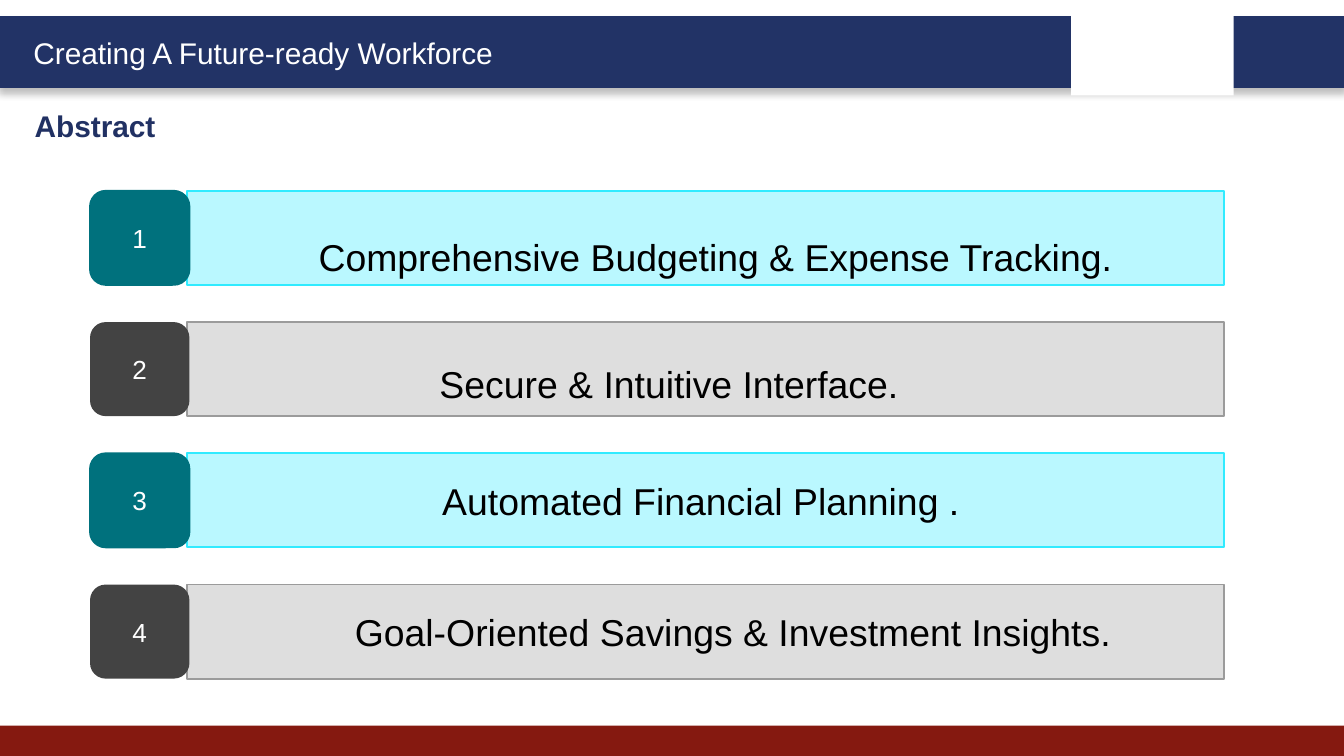
from dataclasses import dataclass
from typing import Optional

from lxml import etree
from pptx import Presentation
from pptx.dml.color import RGBColor
from pptx.enum.shapes import MSO_SHAPE
from pptx.enum.text import MSO_ANCHOR, PP_ALIGN
from pptx.oxml.ns import qn
from pptx.util import Inches, Pt

RECTANGLE = MSO_SHAPE.RECTANGLE
ROUNDED = MSO_SHAPE.ROUNDED_RECTANGLE
TOP, MIDDLE = MSO_ANCHOR.TOP, MSO_ANCHOR.MIDDLE
LEFT, CENTER = PP_ALIGN.LEFT, PP_ALIGN.CENTER

SLIDE_WIDTH = 10
SLIDE_HEIGHT = SLIDE_WIDTH * 9 / 16


@dataclass(frozen=True)
class Theme:
    font: str = "Arial"
    heading_size: int = 16
    item_size: int = 20
    number_size: int = 14
    navy: str = "223366"
    heading: str = "213163"
    red: str = "851910"
    white: str = "FFFFFF"
    black: str = "000000"


@dataclass(frozen=True)
class Box:
    left: float
    top: float
    width: float
    height: float

    def lengths(self) -> list:
        return [Inches(v) for v in (self.left, self.top, self.width, self.height)]


@dataclass(frozen=True)
class Palette:
    badge: str
    bar: str
    edge: str
    badge_edge: Optional[str] = None


@dataclass(frozen=True)
class Item:
    text: str
    indent: float
    label: Optional[Box] = None  # separate text box lying over the bar


THEME = Theme()
PALETTES = (
    Palette("00717D", "BAF8FF", "31EBFF", "00717D"),
    Palette("434343", "DEDEDE", "9B9B9B"),
)

# Grid of the list: a badge column, a bar column and equal rows
BADGE_LEFT, BADGE_WIDTH = 0.67, 0.74
BAR_LEFT, BAR_WIDTH = 1.39, 7.72
FIRST_ROW, LAST_ROW, ROW_HEIGHT = 1.42, 4.35, 0.7

ITEMS = (
    Item("Comprehensive Budgeting & Expense Tracking.", 0.43, Box(1.94, 1.69, 6.92, 0.44)),
    Item("Secure & Intuitive Interface.", 0.87, Box(2.4, 2.64, 5.7, 0.44)),
    Item("Automated Financial Planning .", 1.9),
    Item("Goal-Oriented Savings & Investment Insights.", 1.25),
)
ROW_PITCH = (LAST_ROW - FIRST_ROW) / (len(ITEMS) - 1)


def write(shape, text: str, size: int, color: str, bold: bool = False,
          align=LEFT, anchor=TOP, indent: float = 0.1) -> None:
    frame = shape.text_frame
    frame.word_wrap = True
    frame.vertical_anchor = anchor
    frame.margin_left = Inches(indent)
    paragraph = frame.paragraphs[0]
    paragraph.alignment = align
    run = paragraph.add_run()
    run.text = text
    run.font.name = THEME.font
    run.font.size = Pt(size)
    run.font.bold = bold
    run.font.color.rgb = RGBColor.from_string(color)


def add_block(slide, kind, box: Box, fill: str, edge: Optional[str] = None,
              edge_width: float = 1):
    shape = slide.shapes.add_shape(kind, *box.lengths())
    shape.shadow.inherit = False
    shape.fill.solid()
    shape.fill.fore_color.rgb = RGBColor.from_string(fill)
    if edge:
        shape.line.color.rgb = RGBColor.from_string(edge)
        shape.line.width = Pt(edge_width)
    else:
        shape.line.fill.background()
    return shape


def add_label(slide, box: Box, text: str, size: int, color: str,
              bold: bool = False, indent: float = 0.1) -> None:
    label = slide.shapes.add_textbox(*box.lengths())
    write(label, text, size, color, bold, indent=indent)


def add_drop_shadow(shape) -> None:
    effects = shape._element.spPr.find(qn("a:effectLst"))
    shadow = etree.SubElement(effects, qn("a:outerShdw"), blurRad=str(Pt(4)),
                              dist=str(Pt(3)), dir="5400000", rotWithShape="0")
    color = etree.SubElement(shadow, qn("a:srgbClr"), val=THEME.black)
    etree.SubElement(color, qn("a:alpha"), val="25000")


def add_item(slide, index: int, item: Item) -> None:
    palette = PALETTES[index % len(PALETTES)]
    top = FIRST_ROW + index * ROW_PITCH
    bar = add_block(slide, RECTANGLE, Box(BAR_LEFT, top, BAR_WIDTH, ROW_HEIGHT),
                    palette.bar, palette.edge)
    badge = add_block(slide, ROUNDED, Box(BADGE_LEFT, top, BADGE_WIDTH, ROW_HEIGHT),
                      palette.badge, palette.badge_edge)
    write(badge, str(index + 1), THEME.number_size, THEME.white,
          align=CENTER, anchor=MIDDLE)
    if item.label:
        add_label(slide, item.label, item.text, THEME.item_size, THEME.black,
                  indent=item.indent)
    else:
        write(bar, item.text, THEME.item_size, THEME.black, anchor=MIDDLE,
              indent=item.indent)


def main() -> None:
    presentation = Presentation()
    presentation.slide_width = Inches(SLIDE_WIDTH)
    presentation.slide_height = Inches(SLIDE_HEIGHT)
    slide = presentation.slides.add_slide(presentation.slide_layouts[6])

    # Header band with its white panel, and footer band
    header = add_block(slide, RECTANGLE, Box(0, 0.13, SLIDE_WIDTH, 0.51),
                       THEME.navy, THEME.navy, 2)
    add_drop_shadow(header)
    add_block(slide, RECTANGLE, Box(0, 5.4, SLIDE_WIDTH, SLIDE_HEIGHT - 5.4), THEME.red)
    add_block(slide, RECTANGLE, Box(7.97, 0.07, 1.21, 0.64), THEME.white)

    # Headings
    add_label(slide, Box(0.15, 0.21, 3.78, 0.37), "Creating A Future-ready Workforce",
              THEME.heading_size, THEME.white)
    add_label(slide, Box(0.16, 0.75, 4.84, 0.37), "Abstract",
              THEME.heading_size, THEME.heading, bold=True)

    # Numbered list
    for index, item in enumerate(ITEMS):
        add_item(slide, index, item)

    presentation.save("out.pptx")


if __name__ == "__main__":
    main()
